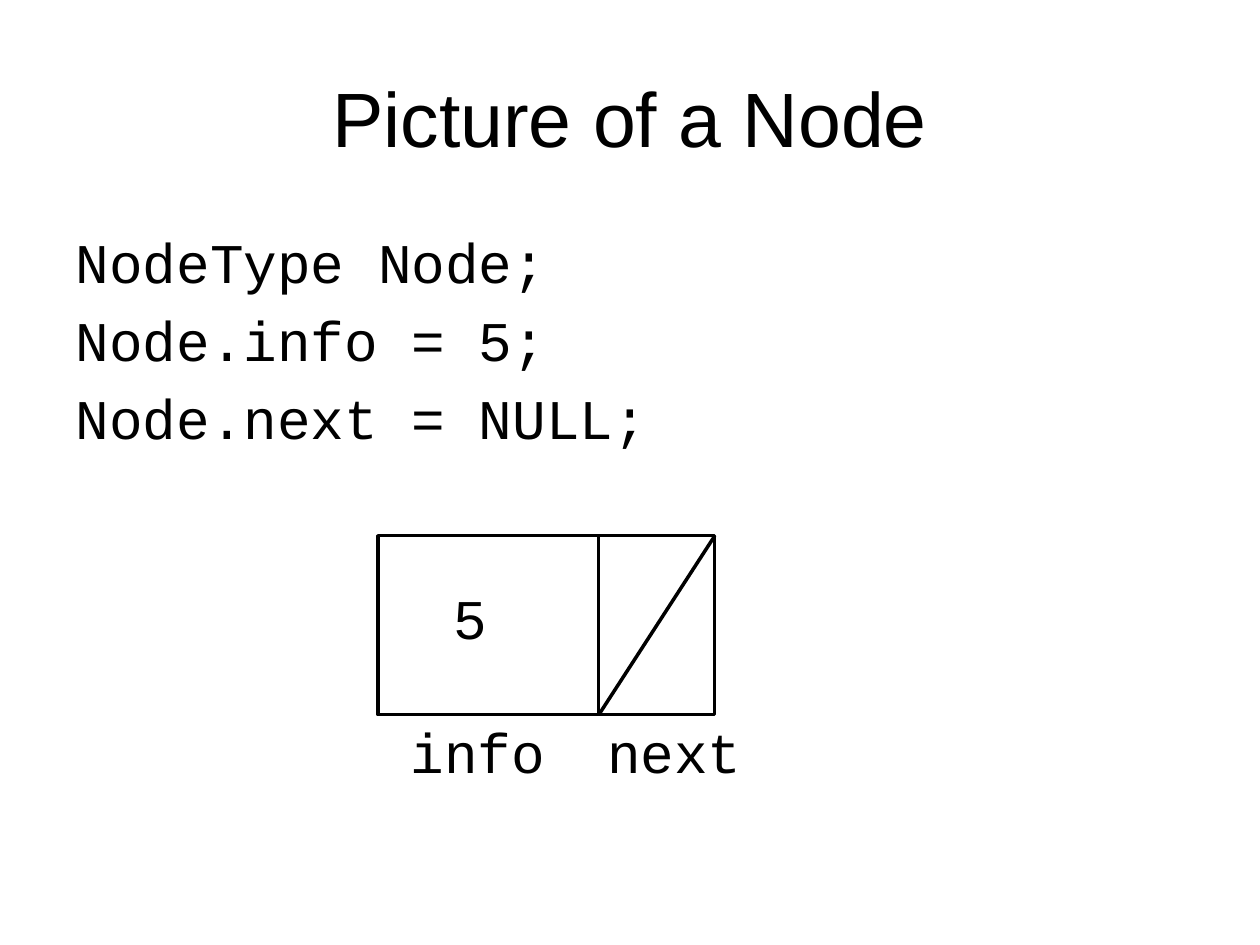
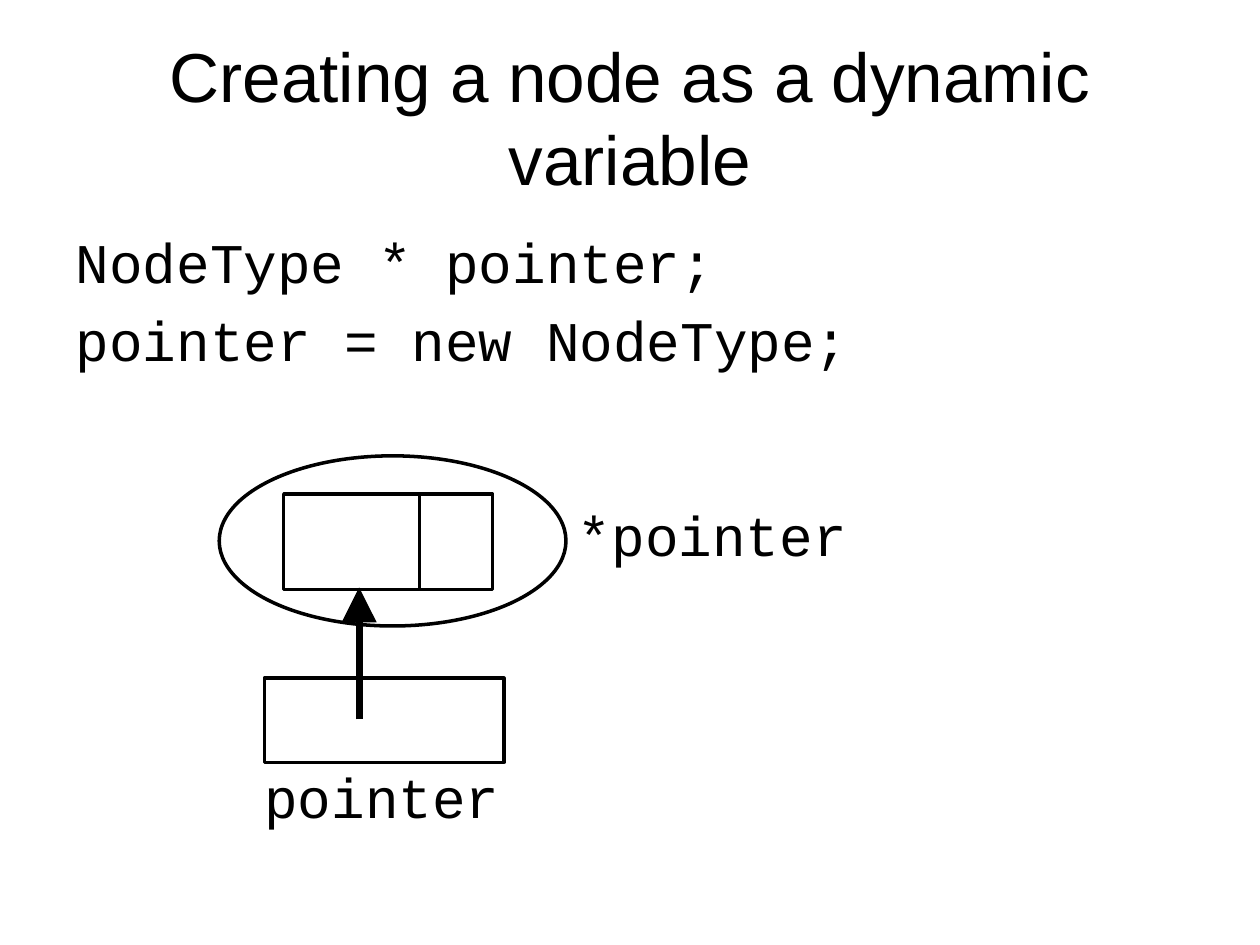
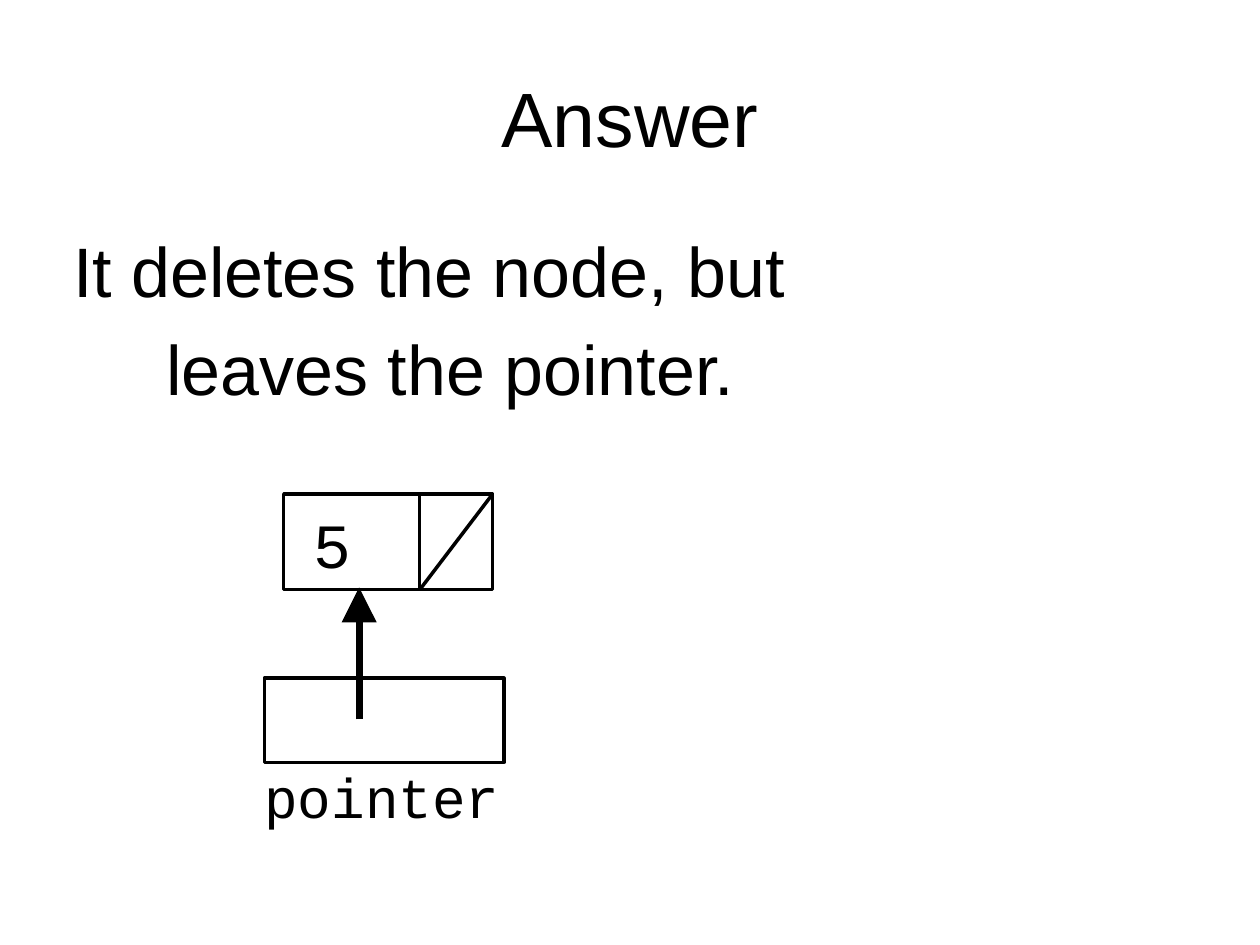
import pptx
import pptx.dml.color
import pptx.enum.shapes
import pptx.enum.text
import pptx.oxml.ns
import pptx.oxml.xmlchemy
import pptx.util
from lxml import etree

Cm = pptx.util.Cm
Pt = pptx.util.Pt
qn = pptx.oxml.ns.qn
SHAPE = pptx.enum.shapes.MSO_SHAPE
ALIGN = pptx.enum.text.PP_ALIGN
ANCHOR = pptx.enum.text.MSO_ANCHOR

# Shared look
COLORS = {"ink": "000000", "paper": "FFFFFF"}
TITLE = {"name": "Arial", "size": Pt(44)}
LONG_TITLE = {"name": "Arial", "size": Pt(39.6)}
PROSE = {"name": "Arial", "size": Pt(40)}
CODE = {"name": "Courier New", "size": Pt(32)}
BIG_CODE = {"name": "Courier New", "size": Pt(36)}

# Shared boxes in cm: left, top, width, height
TITLE_BOX = (1.27, 0.76, 22.86, 3.18)
BODY_BOX = (1.27, 4.45, 22.86, 12.57)
WIDE_BODY_BOX = (0.64, 4.45, 24.13, 12.57)
LABEL_HEIGHT = 1.63

# Node cells in cm: left, top, info width, next width, height
LARGE_NODE = (7.62, 10.8, 4.45, 2.34, 3.61)
SMALL_NODE = (5.72, 9.96, 2.74, 1.47, 1.93)


def rgb(key):
    return pptx.dml.color.RGBColor.from_string(COLORS[key])


def add_text(p, text, font):
    r = p.add_run()
    r.text = text
    for attr, value in font.items():
        setattr(r.font, attr, value)
    r.font.color.rgb = rgb("ink")


def place(sp, box):
    for attr, value in zip(("left", "top", "width", "height"), box):
        setattr(sp, attr, Cm(value))


def style_line(sp, width):
    sp.line.color.rgb = rgb("ink")
    sp.line.width = Pt(width)


# Title and body placeholders
def add_slide(prs, title, lines, title_font=TITLE, body_font=CODE,
              body_box=BODY_BOX, indents=(0, 0, 0)):
    s = prs.slides.add_slide(prs.slide_layouts[1])
    s.background.fill.solid()
    s.background.fill.fore_color.rgb = rgb("paper")
    head, body = s.shapes.title, s.placeholders[1]
    place(head, TITLE_BOX)
    place(body, body_box)
    for sp in (head, body):
        sp.text_frame.auto_size = pptx.enum.text.MSO_AUTO_SIZE.NONE
    head.text_frame.vertical_anchor = ANCHOR.MIDDLE
    p = head.text_frame.paragraphs[0]
    p.alignment = ALIGN.CENTER
    add_text(p, title, title_font)

    tf = body.text_frame
    for i, (line, indent) in enumerate(zip(lines, indents)):
        p = tf.add_paragraph() if i else tf.paragraphs[0]
        pPr = p._p.get_or_add_pPr()
        pPr.set("marL", str(Cm(indent)))
        pPr.set("indent", "0")
        etree.SubElement(pPr, qn("a:buNone"))
        add_text(p, line, body_font)
    return s


# Diagram elements
def add_outline(s, kind, box):
    sp = s.shapes.add_shape(kind, *map(Cm, box))
    sp.shadow.inherit = False
    sp.fill.background()
    style_line(sp, 2)


def add_label(s, text, left, top, width, font=CODE):
    sp = s.shapes.add_textbox(*map(Cm, (left, top, width, LABEL_HEIGHT)))
    sp.text_frame.word_wrap = True
    add_text(sp.text_frame.paragraphs[0], text, font)


def add_line(s, start, end, width=2, arrow=False):
    line = s.shapes.add_connector(
        pptx.enum.shapes.MSO_CONNECTOR.STRAIGHT, *map(Cm, start + end))
    style_line(line, width)
    spPr = line.element.spPr
    if arrow:
        etree.SubElement(spPr.find(qn("a:ln")), qn("a:tailEnd"),
                         type="triangle", w="lg", len="lg")
    etree.SubElement(spPr, qn("a:effectLst"))


def add_node(s, node, null_next=False):
    left, top, info_width, next_width, height = node
    middle = left + info_width
    add_outline(s, SHAPE.RECTANGLE, (left, top, info_width, height))
    add_outline(s, SHAPE.RECTANGLE, (middle, top, next_width, height))
    if null_next:
        add_line(s, (middle, top + height), (middle + next_width, top))


def add_pointer(s):
    add_outline(s, SHAPE.RECTANGLE, (5.33, 13.67, 4.83, 1.7))
    add_label(s, "pointer", 5.08, 15.24, 5.51)
    add_line(s, (7.24, 14.5), (7.24, 11.84), width=4, arrow=True)


def main():
    prs = pptx.Presentation()
    prs.slide_width, prs.slide_height = Cm(25.4), Cm(19.05)

    # A node with both members set
    s = add_slide(prs, "Picture of a Node",
                  ["NodeType Node;", "Node.info = 5;", "Node.next = NULL;"])
    add_node(s, LARGE_NODE, null_next=True)
    add_label(s, "info", 8.03, 14.33, 3.5)
    add_label(s, "next", 11.99, 14.33, 3.5)
    add_label(s, "5", 8.89, 11.63, 1.9)

    # A dynamic node reached through a pointer
    s = add_slide(prs, "Creating a node as a dynamic variable",
                  ["NodeType * pointer;", "pointer = new NodeType;"],
                  title_font=LONG_TITLE)
    add_node(s, SMALL_NODE)
    add_pointer(s)
    add_label(s, "*pointer", 11.4, 9.96, 6.55)
    add_outline(s, SHAPE.OVAL, (4.42, 9.19, 6.99, 3.43))

    # The answer
    s = add_slide(prs, "Answer",
                  ["It deletes the node, but", "leaves the pointer."],
                  body_font=PROSE, body_box=WIDE_BODY_BOX, indents=(0.58, 2.46))
    add_node(s, SMALL_NODE, null_next=True)
    add_pointer(s)
    add_label(s, "5", 6.07, 10.06, 1.78, font=BIG_CODE)

    prs.save("out.pptx")


if __name__ == "__main__":
    main()
